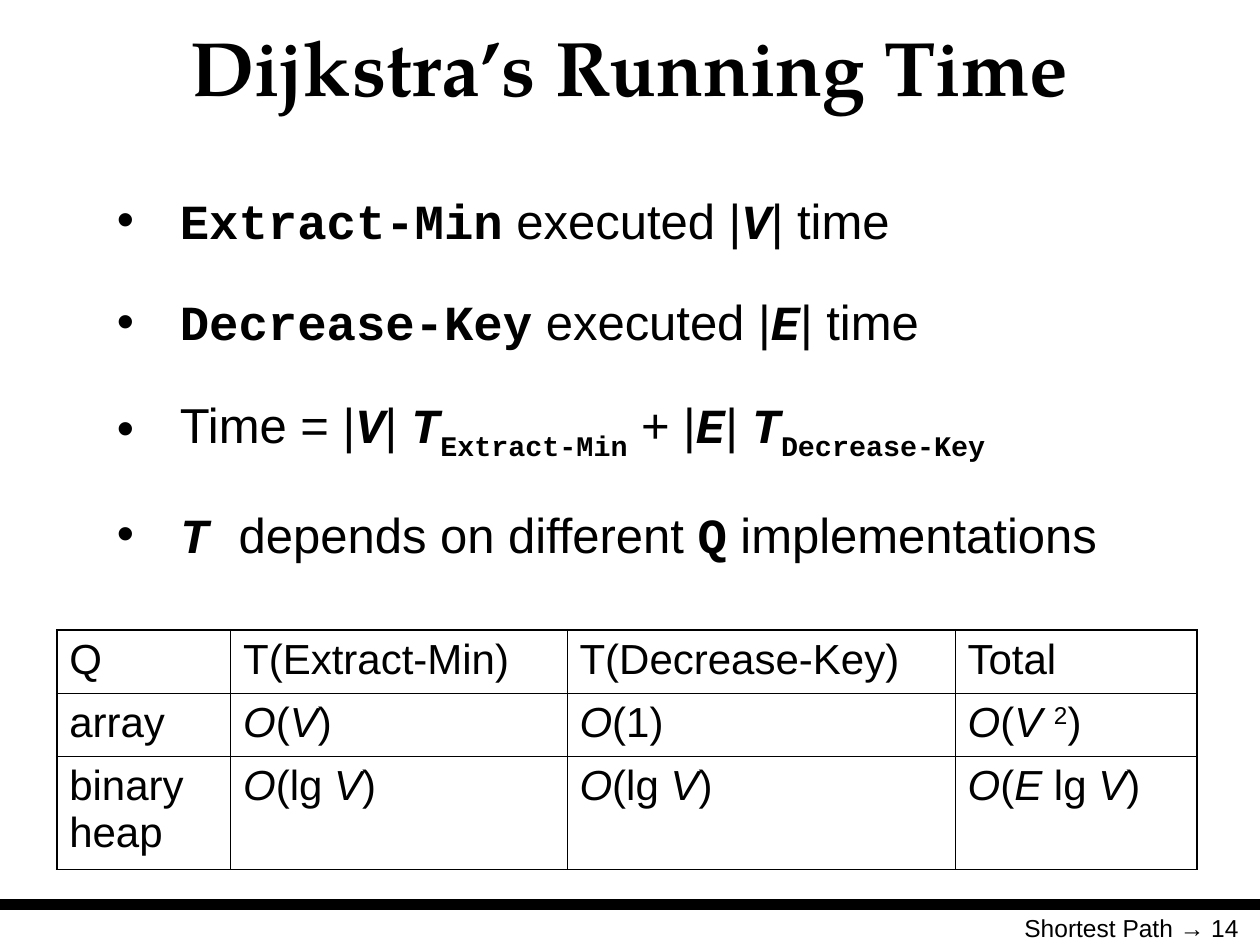
from typing import NamedTuple

from lxml import etree
from pptx import Presentation
from pptx.dml.color import RGBColor
from pptx.enum.shapes import MSO_CONNECTOR
from pptx.enum.text import MSO_ANCHOR, MSO_AUTO_SIZE, PP_ALIGN
from pptx.oxml.ns import qn
from pptx.util import Emu, Pt

BLACK = RGBColor(0, 0, 0)
STRAIGHT = MSO_CONNECTOR.STRAIGHT
MIDDLE = MSO_ANCHOR.MIDDLE
NO_FIT = MSO_AUTO_SIZE.NONE
CENTER, RIGHT = PP_ALIGN.CENTER, PP_ALIGN.RIGHT
SCALE = 9144
THIN, THICK = 0.45, 1.08


class Style(NamedTuple):
    font: str = "Arial"
    bold: bool = False
    slant: bool = False
    base: int = 0


class Run(NamedTuple):
    text: str
    style: Style = Style()


class Box(NamedTuple):
    left: int
    top: int
    width: int
    height: int


HEAD = Style("TeX Gyre Pagella", bold=True)
CODE = Style("Courier New", bold=True)
VAR = Style("Courier New", bold=True, slant=True)
SUB = Style("Courier New", bold=True, base=-25)
SLANT = Style(slant=True)
POWER = Style(base=30)

BIG_O = Run("Ο", SLANT)
V = Run("V", SLANT)
LOG = [BIG_O, Run("(lg "), V, Run(")")]

POINTS = [
    [Run("Extract-Min", CODE), Run(" executed |"), Run("V", VAR), Run("| time")],
    [Run("Decrease-Key", CODE), Run(" executed |"), Run("E", VAR), Run("| time")],
    [Run("Time = |"), Run("V", VAR), Run("| "), Run("T", VAR),
     Run("Extract-Min", SUB), Run(" + |"), Run("E", VAR), Run("| "),
     Run("T", VAR), Run("Decrease-Key", SUB)],
    [Run("T ", VAR), Run("depends on different "), Run("Q", CODE),
     Run(" implementations")],
]
COLS = [138, 267, 308, 192]
ROWS = [50, 50, 90]
CELLS = [
    [[Run("Q")], [Run("T(Extract-Min)")], [Run("T(Decrease-Key)")], [Run("Total")]],
    [[Run("array")], [BIG_O, Run("("), V, Run(")")], [BIG_O, Run("(1)")],
     [BIG_O, Run("("), Run("V ", SLANT), Run("2", POWER), Run(")")]],
    [[Run("binary heap")], LOG, LOG,
     [BIG_O, Run("("), Run("E", SLANT), Run(" lg "), V, Run(")")]],
]


def px(count: int) -> Emu:
    """Turn px into EMU."""
    return Emu(count * SCALE)


def place(shape, box: Box) -> None:
    """Move and size a shape."""
    shape.left, shape.top, shape.width, shape.height = map(px, box)


def write(para, runs: list[Run], size: int) -> None:
    """Add styled runs to a paragraph."""
    for text, style in runs:
        run = para.add_run()
        run.text = text
        font = run.font
        font.size, font.name = Pt(size), style.font
        font.bold, font.italic = style.bold, style.slant
        font.color.rgb = BLACK
        if style.base:
            font._element.set("baseline", str(style.base * 1000))


def add_box(slide, box: Box):
    """Add a wrapped text box and return its frame."""
    frame = slide.shapes.add_textbox(*map(px, box)).text_frame
    frame.word_wrap = True
    return frame


def add_title(slide) -> None:
    """Fill the title placeholder."""
    title = slide.shapes.title
    place(title, Box(5, 7, 990, 90))
    frame = title.text_frame
    frame.auto_size = NO_FIT
    frame.vertical_anchor = MIDDLE
    para = frame.paragraphs[0]
    para.alignment = CENTER
    write(para, [Run("Dijkstra’s Running Time", HEAD)], 44)


def add_points(slide) -> None:
    """Add the bulleted list."""
    frame = add_box(slide, Box(83, 137, 850, 313))
    for index, runs in enumerate(POINTS):
        para = frame.add_paragraph() if index else frame.paragraphs[0]
        para.line_spacing = 1.2
        para.space_before = Pt(8.8 if index else 0)
        para.space_after = Pt(8.8)
        props = para._p.get_or_add_pPr()
        props.set("marL", str(px(50)))
        props.set("indent", str(px(-50)))
        color = etree.SubElement(props, qn("a:buClr"))
        etree.SubElement(color, qn("a:srgbClr"), val=str(BLACK))
        etree.SubElement(props, qn("a:buFont"), typeface="Arial")
        etree.SubElement(props, qn("a:buChar"), char="•")
        write(para, runs, 28)


def add_edge(cell, side: str, width: float) -> None:
    """Draw one border of a cell."""
    props = cell._tc.get_or_add_tcPr()
    line = etree.SubElement(props, qn(f"a:{side}"), w=str(Pt(width)))
    fill = etree.SubElement(line, qn("a:solidFill"))
    etree.SubElement(fill, qn("a:srgbClr"), val=str(BLACK))


def add_grid(slide) -> None:
    """Add the table of running times."""
    box = Box(45, 500, sum(COLS), sum(ROWS))
    table = slide.shapes.add_table(len(ROWS), len(COLS), *map(px, box)).table
    table.first_row = table.horz_banding = False
    for col, width in zip(table.columns, COLS):
        col.width = px(width)
    for row, height in zip(table.rows, ROWS):
        row.height = px(height)
    for y, line in enumerate(CELLS):
        for x, runs in enumerate(line):
            cell = table.cell(y, x)
            outer = {"lnL": x == 0, "lnR": x == len(COLS) - 1,
                     "lnT": y == 0, "lnB": y == len(ROWS) - 1}
            for side, edge in outer.items():
                add_edge(cell, side, THICK if edge else THIN)
            cell.fill.background()
            write(cell.text_frame.paragraphs[0], runs, 24)


def add_foot(slide) -> None:
    """Add the rule and the page label."""
    rule = slide.shapes.add_connector(STRAIGHT, px(0), px(718), px(1000), px(718))
    rule.line.color.rgb = BLACK
    rule.line.width = Pt(6)
    etree.SubElement(rule._element.spPr, qn("a:effectLst"))
    para = add_box(slide, Box(718, 720, 275, 52)).paragraphs[0]
    para.alignment = RIGHT
    write(para, [Run("Shortest Path → 14")], 14)


def main() -> None:
    """Build and save the slide."""
    deck = Presentation()
    deck.slide_width, deck.slide_height = px(1000), px(750)
    slide = deck.slides.add_slide(deck.slide_layouts[5])
    add_foot(slide)
    add_title(slide)
    add_points(slide)
    add_grid(slide)
    deck.save("out.pptx")


if __name__ == "__main__":
    main()
